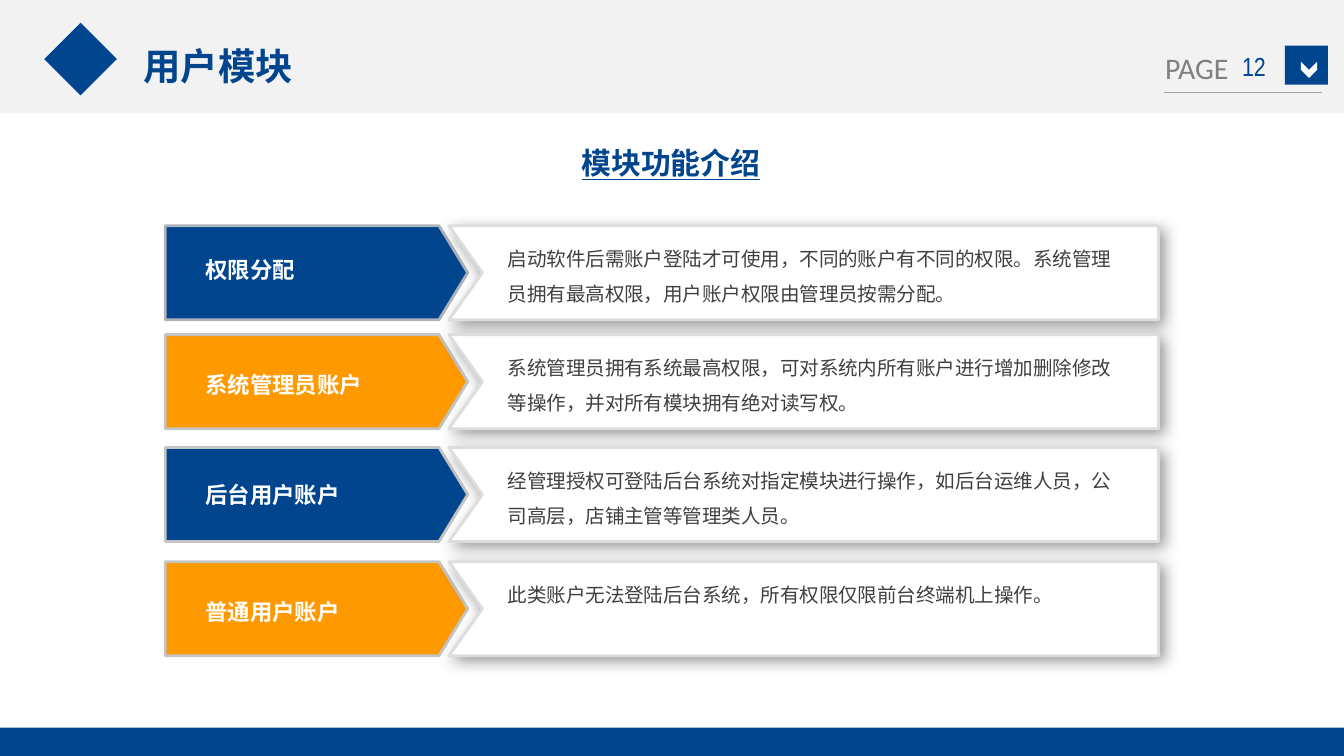
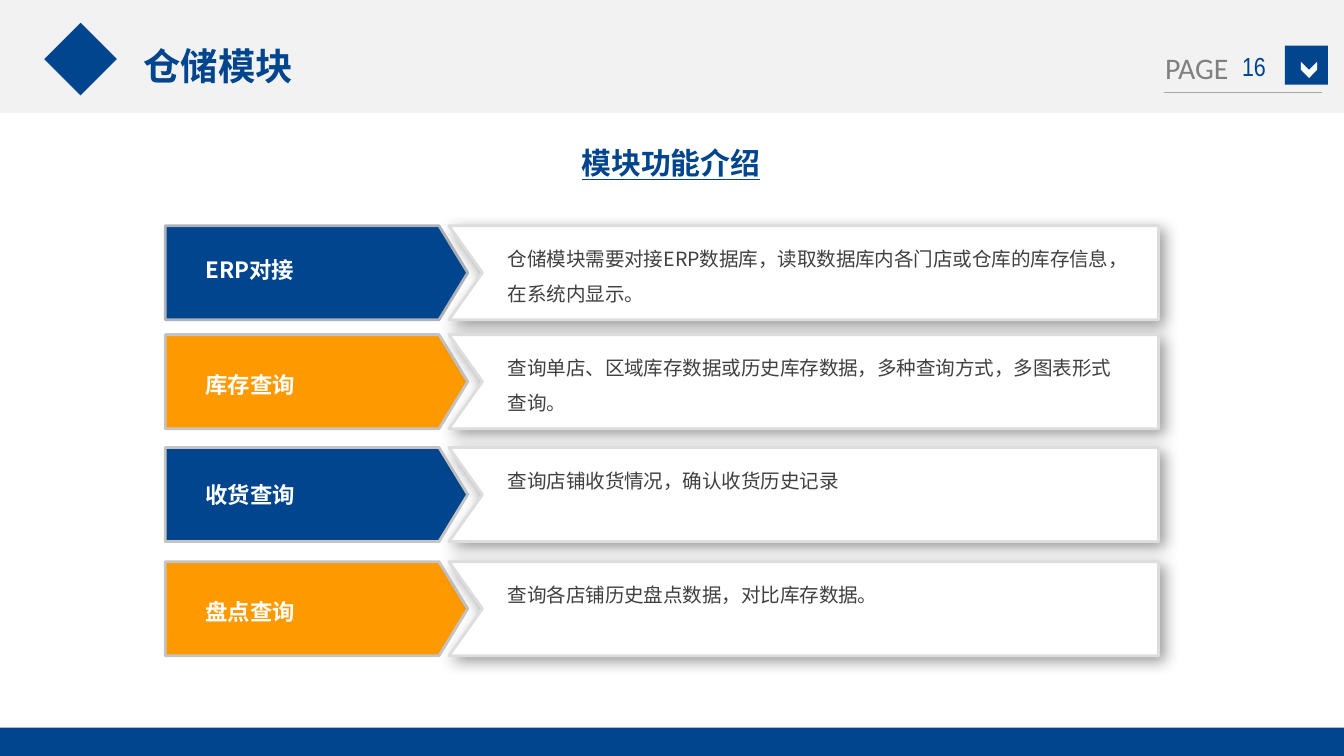
"""Build two module introduction slides with a shared frame."""
from collections import namedtuple

from lxml.etree import SubElement
from pptx import Presentation
from pptx.dml.color import RGBColor
from pptx.enum.shapes import MSO_CONNECTOR, MSO_SHAPE
from pptx.enum.text import MSO_ANCHOR, MSO_AUTO_SIZE, PP_ALIGN
from pptx.oxml.ns import qn
from pptx.util import Inches, Pt

Box = namedtuple("Box", "left top width height")

COLORS = {
    "blue": "01458E", "orange": "FF9900", "white": "FFFFFF", "band": "F2F2F2",
    "gray": "808080", "rule": "A6A6A6", "body": "404040", "card_line": "DDDDDD",
    "first_line": "AEB3BB", "label_line": "C4C4C4", "shadow": "000000",
}
CJK = "Noto Sans CJK SC"
PAGE_BOX = Box(0, 0, 10, 10 * 9 / 16)
HEADER_HEIGHT = 0.84
FOOTER_HEIGHT = 0.21
ROW_HEIGHT = 0.7
ROW_TOPS = [1.68, 2.49, 3.33, 4.18]
LABEL_OFFSETS = [0.14, 0.18, 0.16, 0.18]

MODULES = [
    ("用户模块", "12", [
        ("权限分配", "启动软件后需账户登陆才可使用，不同的账户有不同的权限。系统管理员拥有最高权限，用户账户权限由管理员按需分配。"),
        ("系统管理员账户", "系统管理员拥有系统最高权限，可对系统内所有账户进行增加删除修改等操作，并对所有模块拥有绝对读写权。"),
        ("后台用户账户", "经管理授权可登陆后台系统对指定模块进行操作，如后台运维人员，公司高层，店铺主管等管理类人员。"),
        ("普通用户账户", "此类账户无法登陆后台系统，所有权限仅限前台终端机上操作。"),
    ]),
    ("仓储模块", "16", [
        ("ERP对接", "仓储模块需要对接ERP数据库，读取数据库内各门店或仓库的库存信息，在系统内显示。"),
        ("库存查询", "查询单店、区域库存数据或历史库存数据，多种查询方式，多图表形式查询。"),
        ("收货查询", "查询店铺收货情况，确认收货历史记录"),
        ("盘点查询", "查询各店铺历史盘点数据，对比库存数据。"),
    ]),
]


def rgb(name):
    """Return the named palette colour."""
    return RGBColor.from_string(COLORS[name])


def inches(box):
    """Return the four lengths of a box."""
    return [Inches(value) for value in box]


def inside(box, left, top, width, height):
    """Return a box placed relative to the corner of another."""
    return Box(box.left + left, box.top + top, width, height)


def paint(shape, fill, line=None):
    """Set fill and outline and remove the theme shadow."""
    shape.shadow.inherit = False
    shape.fill.solid()
    shape.fill.fore_color.rgb = rgb(fill)
    if line:
        shape.line.color.rgb = rgb(line)
        shape.line.width = Pt(1.5)
    else:
        shape.line.fill.background()


def add_block(shapes, kind, box, fill, line=None):
    """Add a painted preset shape."""
    shape = shapes.add_shape(kind, *inches(box))
    paint(shape, fill, line)
    return shape


def add_text(shapes, box, text, size, color, font=CJK, bold=False,
             underline=False, wrap=True, spacing=None, grow=True):
    """Add a text box holding one run and return it."""
    text_box = shapes.add_textbox(*inches(box))
    frame = text_box.text_frame
    frame.word_wrap = wrap
    frame.auto_size = MSO_AUTO_SIZE.SHAPE_TO_FIT_TEXT if grow else MSO_AUTO_SIZE.NONE
    para = frame.paragraphs[0]
    if spacing:
        para.line_spacing = spacing
    span = para.add_run()
    span.text = text
    span.font.size = Pt(size)
    span.font.name = font
    span.font.color.rgb = rgb(color)
    if bold:
        span.font.bold = True
    if underline:
        span.font.underline = True
    properties = span._r.get_or_add_rPr()
    properties.set("lang", "zh-CN")
    SubElement(properties, qn("a:ea"), typeface=font)
    return text_box


def add_card_shadow(shape):
    """Give a shape a soft shadow towards the lower right."""
    effects = shape._element.spPr.find(qn("a:effectLst"))
    shadow = SubElement(effects, qn("a:outerShdw"), blurRad=str(Pt(8)),
                        dist=str(Pt(3)), dir=str(45 * 60000),
                        algn="tl", rotWithShape="0")
    color = SubElement(shadow, qn("a:srgbClr"), val=COLORS["shadow"])
    SubElement(color, qn("a:alpha"), val="40000")


def add_page_marker(shapes, box, number):
    """Draw the page number, its arrow button and its rule."""
    add_text(shapes, inside(box, 0, 0, 0.68, 0.37), "PAGE", 16, "gray",
             font="Calibri", wrap=False)
    add_block(shapes, MSO_SHAPE.RECTANGLE, inside(box, 0.99, 0.02, 0.32, 0.29), "blue")
    arrow = add_block(shapes, MSO_SHAPE.CHEVRON,
                      inside(box, 1.11, 0.14, 0.12, 0.12), "white")
    arrow.rotation = 90
    rule_top = Inches(box.top + box.height)
    rule = shapes.add_connector(MSO_CONNECTOR.STRAIGHT, Inches(box.left + 0.09),
                                rule_top, Inches(box.left + 1.27), rule_top)
    rule.line.color.rgb = rgb("rule")
    rule.line.width = Pt(0.75)
    SubElement(rule._element.spPr, qn("a:effectLst"))
    label = add_text(shapes, inside(box, 0.52, 0.02, 0.48, 0.3), number, 14, "blue",
                     font="Arial Narrow", grow=False)
    label.text_frame.vertical_anchor = MSO_ANCHOR.MIDDLE
    label.text_frame.paragraphs[0].alignment = PP_ALIGN.CENTER


def add_header(shapes, box, title, number):
    """Draw the top band with its mark, title and page marker."""
    add_block(shapes, MSO_SHAPE.RECTANGLE, box, "band")
    add_block(shapes, MSO_SHAPE.DIAMOND, inside(box, 0.33, 0.17, 0.54, 0.54), "blue")
    add_text(shapes, inside(box, 0.97, 0.27, 1.32, 0.44), title, 20, "blue",
             bold=True, wrap=False)
    add_page_marker(shapes, inside(box, 8.57, 0.32, 1.31, 0.37), number)


def add_card(shapes, box):
    """Draw the notched white card behind a description."""
    right, bottom = box.left + box.width, box.top + box.height
    corners = [(right, box.top), (right, bottom), (box.left, bottom),
               (box.left + 0.25, box.top + box.height / 2)]
    builder = shapes.build_freeform(Inches(box.left), Inches(box.top))
    builder.add_line_segments([(Inches(x), Inches(y)) for x, y in corners], close=True)
    card = builder.convert_to_shape()
    paint(card, "white", "card_line")
    add_card_shadow(card)


def add_feature_row(page, box, label, description, fill, line, label_top):
    """Draw one feature as a labelled arrow and a description card."""
    shapes = page.shapes.add_group_shape().shapes
    arrow = add_block(shapes, MSO_SHAPE.PENTAGON,
                      inside(box, 0, 0, 2.25, box.height), fill, line)
    arrow.adjustments[0] = 0.305
    add_card(shapes, inside(box, 2.11, 0, box.width - 2.11, box.height))
    add_text(shapes, inside(box, 2.45, 0.02, 4.74, 0.63), description, 10.5, "body",
             spacing=1.5)
    add_text(shapes, inside(box, 0.2, label_top, 1.9, 0.32), label, 12, "white",
             bold=True, spacing=1.2)


def add_module_page(deck, box, title, number, features):
    """Add a slide that introduces the features of one module."""
    page = deck.slides.add_slide(deck.slide_layouts[6])
    add_header(page.shapes, Box(box.left, box.top, box.width, HEADER_HEIGHT),
               title, number)
    add_block(page.shapes, MSO_SHAPE.RECTANGLE,
              inside(box, 0, box.height - FOOTER_HEIGHT, box.width, FOOTER_HEIGHT), "blue")
    add_text(page.shapes, inside(box, 4.23, 1.03, 1.55, 0.37), "模块功能介绍", 16,
             "blue", bold=True, underline=True, wrap=False)
    rows = zip(features, ROW_TOPS, LABEL_OFFSETS)
    for index, ((label, description), top, label_top) in enumerate(rows):
        add_feature_row(page, inside(box, 1.23, top, 7.39, ROW_HEIGHT), label, description,
                        "orange" if index % 2 else "blue",
                        "label_line" if index else "first_line", label_top)


def main():
    """Build the deck and save it."""
    deck = Presentation()
    deck.slide_width = Inches(PAGE_BOX.width)
    deck.slide_height = Inches(PAGE_BOX.height)
    for title, number, features in MODULES:
        add_module_page(deck, PAGE_BOX, title, number, features)
    deck.save("out.pptx")


if __name__ == "__main__":
    main()
